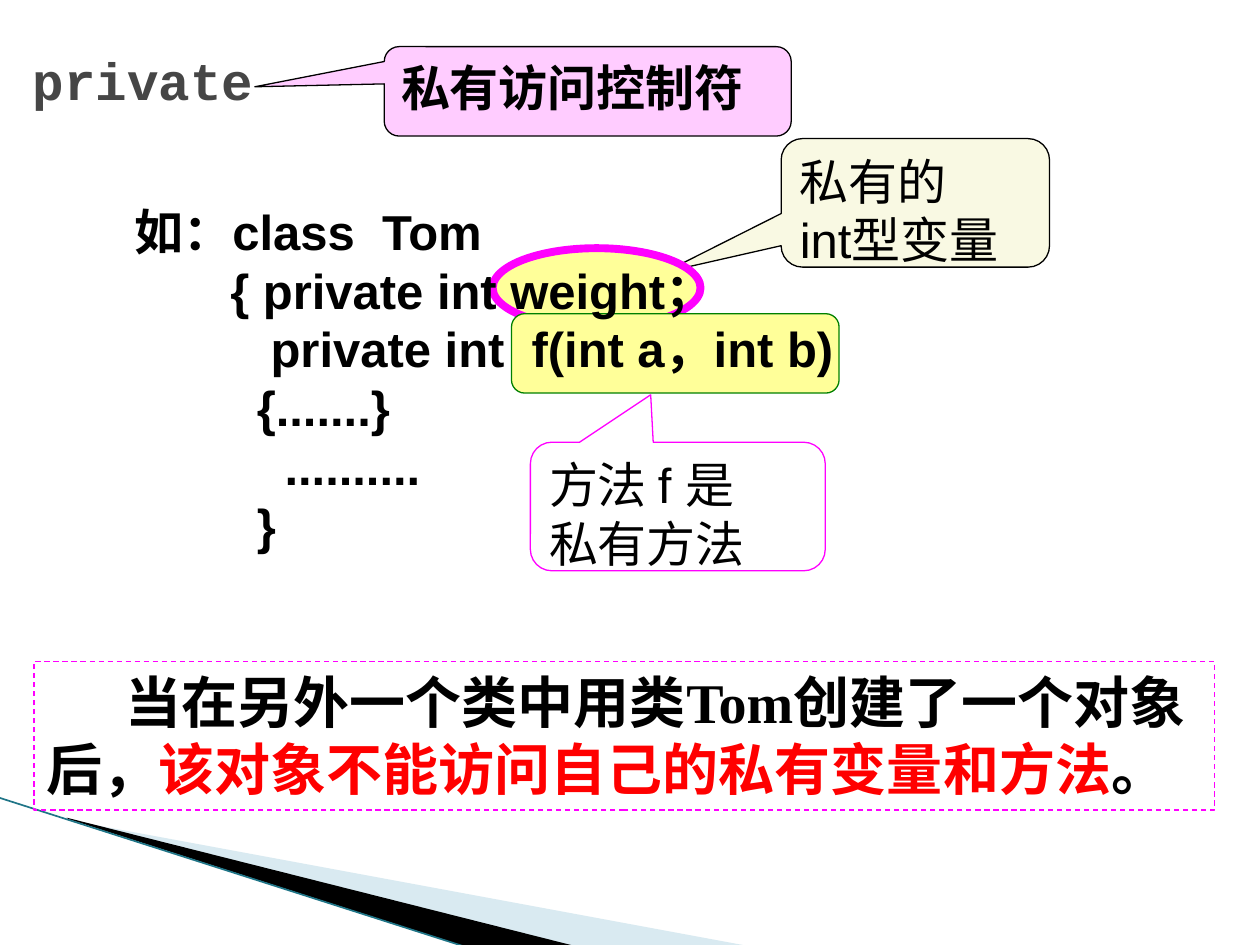
import pptx
import pptx.util
import pptx.dml.color
import pptx.enum.dml
import pptx.enum.shapes
import pptx.enum.text
import pptx.oxml
import pptx.oxml.ns
from pptx.util import Inches

SHAPE = pptx.enum.shapes.MSO_SHAPE


class Theme:
    sans, serif, mono = "Arial", "Times New Roman", "Courier New"
    body, title, summary = 28, 30, 32
    leading = 1.2  # line height as a share of the type size
    black, grey, red = "000000", "464646", "FF0000"
    magenta, green = "FF00FF", "008000"
    pink, cream, yellow = "FFCCFF", "F9F9E3", "FFFF99"
    pale_blue, teal = "A0CBDC", "1F7587"


TITLE = "private"
CODE = [  # indent in inches, text
    (0.3, "如：class  Tom"),
    (1.06, "{ private int weight；"),
    (1.38, "private int  f(int a，int b)"),
    (1.27, "{.......}"),
    (1.49, ".........."),
    (1.27, "}"),
]
SUMMARY = [  # text, colour, font
    ("当在另外一个类中用类Tom创建了一个对象后，", Theme.black, Theme.serif),
    ("该对象不能访问自己的私有变量", Theme.red, Theme.serif),
    ("和方法", Theme.red, Theme.sans),
    ("。", Theme.black, Theme.serif),
]
CALLOUTS = [  # box, pointer tip, fill, line, bold, lines of text
    ((6.2, 1.1, 2.13, 1.02), (-0.934, 0.539), Theme.cream, Theme.black, False,
     ["私有的", "int型变量"]),
    ((4.21, 3.51, 2.34, 1.02), (-0.092, -0.869), None, Theme.magenta, False,
     ["方法 f 是", "私有方法"]),
    ((3.05, 0.37, 3.23, 0.71), (-0.818, -0.051), Theme.pink, Theme.black, True,
     ["私有访问控制符"]),
]
HIGHLIGHTS = [  # preset, box, line colour, line width
    (SHAPE.OVAL, (3.91, 1.97, 1.65, 0.63), Theme.magenta, 4.5),
    (SHAPE.ROUNDED_RECTANGLE, (4.06, 2.49, 2.6, 0.63), Theme.green, 0.75),
]
WEDGES = [  # fill, opacity in percent, corners
    (Theme.pale_blue, 40, [(0.55, 6.51), (5.95, 7.51), (4.56, 7.51), (0.55, 6.5)]),
    (Theme.black, 100, [(0.53, 6.49), (4.57, 7.51), (3.72, 7.52), (0.54, 6.5)]),
]
EDGE = [(-0.01, 6.33), (3.71, 7.52)]


def rgb(code):
    return pptx.dml.color.RGBColor.from_string(code)


def inches(values):
    return [Inches(value) for value in values]


def paint(shape, fill, line=None, width=0.75):
    shape.shadow.inherit = False
    if fill:
        shape.fill.solid()
        shape.fill.fore_color.rgb = rgb(fill)
    else:
        shape.fill.background()
    if line:
        shape.line.color.rgb = rgb(line)
        shape.line.width = pptx.util.Pt(width)
    else:
        shape.line.fill.background()


def set_font(font, name, size, color, bold):
    font.name, font.size, font.bold = name, pptx.util.Pt(size), bold
    font.color.rgb = rgb(color)


def prepare_frame(shape):
    frame = shape.text_frame
    frame.word_wrap = True
    frame.auto_size = pptx.enum.text.MSO_AUTO_SIZE.NONE
    frame.vertical_anchor = pptx.enum.text.MSO_ANCHOR.TOP
    return frame


def format_para(para, size, indent=0):
    para.alignment = pptx.enum.text.PP_ALIGN.LEFT
    para.line_spacing = pptx.util.Pt(round(size * Theme.leading, 1))
    props = para._p.get_or_add_pPr()
    props.set("marL", "0")
    props.set("indent", str(Inches(indent)))


def write_lines(shape, lines, bold):
    """Fill a shape with (indent, text) lines in the body type."""
    frame = prepare_frame(shape)
    for number, (indent, text) in enumerate(lines):
        para = frame.add_paragraph() if number else frame.paragraphs[0]
        para.text = text
        format_para(para, Theme.body, indent)
        set_font(para.font, Theme.sans, Theme.body, Theme.black, bold)


def add_backdrop(page):
    for fill, opacity, corners in WEDGES:
        points = [inches(corner) for corner in corners]
        builder = page.shapes.build_freeform(*points[0])
        builder.add_line_segments(points[1:])
        wedge = builder.convert_to_shape()
        paint(wedge, fill)
        if opacity < 100:
            color = wedge._element.spPr.find(".//" + pptx.oxml.ns.qn("a:srgbClr"))
            alpha = pptx.oxml.parse_xml(
                f'<a:alpha {pptx.oxml.ns.nsdecls("a")} val="{opacity * 1000}"/>')
            color.append(alpha)
    edge = page.shapes.add_connector(
        pptx.enum.shapes.MSO_CONNECTOR.STRAIGHT, *inches(EDGE[0] + EDGE[1]))
    edge.line.color.rgb = rgb(Theme.teal)
    edge.line.width = pptx.util.Pt(0.95)
    edge._element.spPr.append(pptx.oxml.parse_xml(
        f'<a:effectLst {pptx.oxml.ns.nsdecls("a")}/>'))


def add_title(page):
    title = page.shapes.title
    title.left, title.top, title.width, title.height = inches((0.16, 0.33, 9, 1.25))
    para = prepare_frame(title).paragraphs[0]
    para.text = TITLE
    para.alignment = pptx.enum.text.PP_ALIGN.LEFT
    para.space_before = pptx.util.Pt(5)
    set_font(para.font, Theme.mono, Theme.title, Theme.grey, True)


def add_callouts(page):
    for box, tip, fill, line, bold, lines in CALLOUTS:
        callout = page.shapes.add_shape(SHAPE.ROUNDED_RECTANGULAR_CALLOUT, *inches(box))
        callout.adjustments[0], callout.adjustments[1] = tip
        paint(callout, fill, line)
        write_lines(callout, [(0, text) for text in lines], bold)


def add_highlights(page):
    for preset, box, line, width in HIGHLIGHTS:
        paint(page.shapes.add_shape(preset, *inches(box)), Theme.yellow, line, width)


def add_summary(page):
    summary = page.shapes.add_shape(SHAPE.RECTANGLE, *inches((0.27, 5.25, 9.37, 1.18)))
    paint(summary, None, Theme.magenta)
    summary.line.dash_style = pptx.enum.dml.MSO_LINE.DASH
    para = prepare_frame(summary).paragraphs[0]
    format_para(para, Theme.summary, 0.63)
    for text, color, font in SUMMARY:
        span = para.add_run()
        span.text = text
        set_font(span.font, font, Theme.summary, color, True)


def main():
    deck = pptx.Presentation()
    deck.slide_width, deck.slide_height = inches((10, 7.5))
    page = deck.slides.add_slide(deck.slide_layouts.get_by_name("Title Only"))
    add_backdrop(page)
    add_title(page)
    add_callouts(page)
    add_highlights(page)
    add_summary(page)
    code = page.shapes.add_textbox(*inches((0.67, 1.55, 7.44, 3.37)))
    write_lines(code, CODE, True)
    deck.save("out.pptx")


if __name__ == "__main__":
    main()
